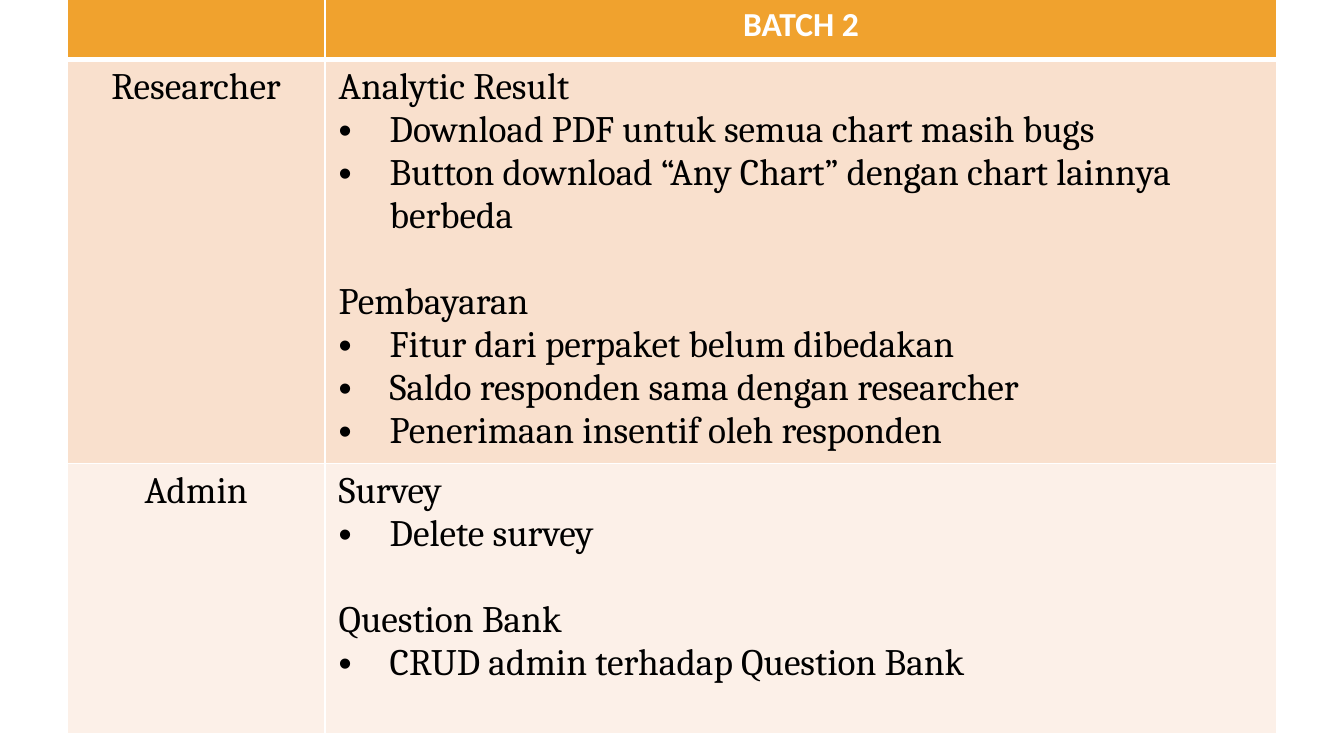
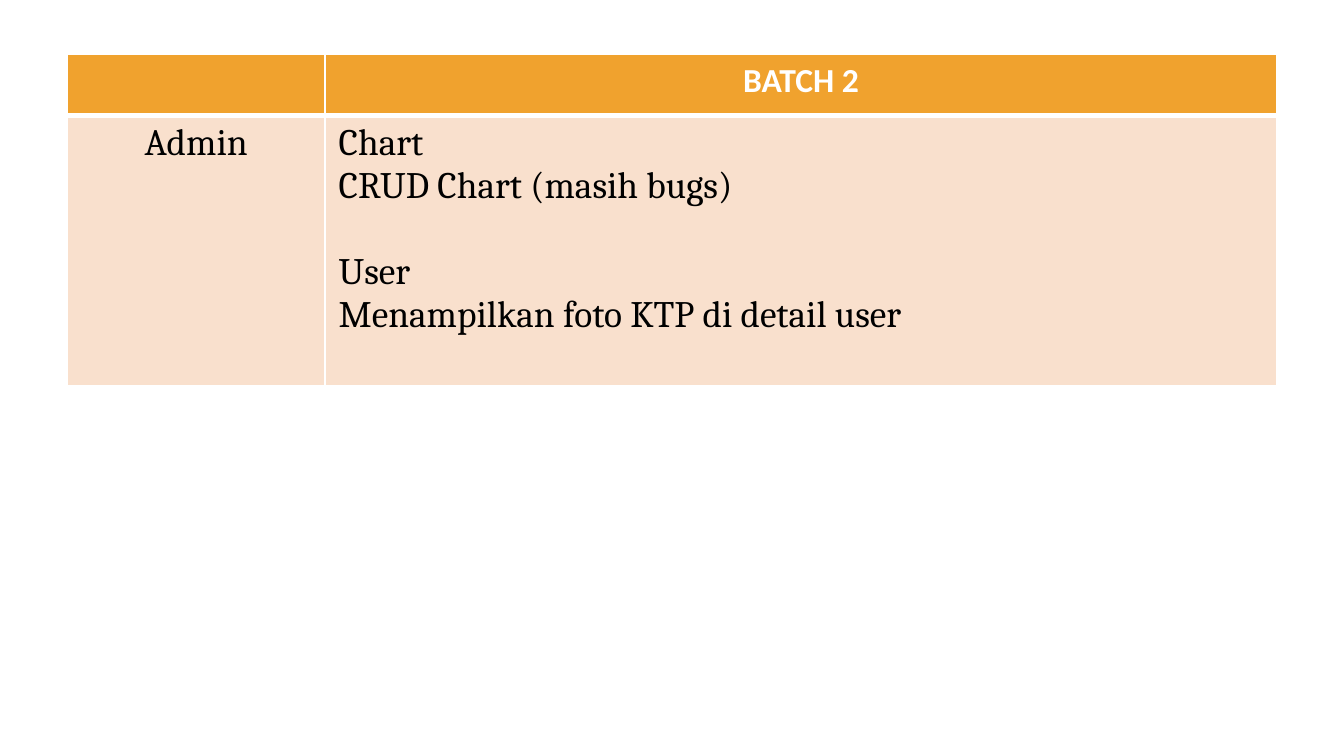
import lxml.etree
import pptx
import pptx.dml.color
import pptx.enum.text
import pptx.oxml.ns
import pptx.util

Inches = pptx.util.Inches
Pt = pptx.util.Pt
qn = pptx.oxml.ns.qn

SLIDE_WIDTH = 10
SLIDE_HEIGHT = SLIDE_WIDTH * 9 / 16
HEADER_FILL = "F0A22E"
BODY_FILLS = ("F9E0CD", "FCF0E8")
WHITE = "FFFFFF"
BLACK = "000000"
COLUMN_WIDTHS = (1.92, 7.08)
HEADER_HEIGHT = 0.46
BULLET_INDENT = 0.38
TOPIC_GAP = 23  # one line of body text, in points


def color(hex_code):
    return pptx.dml.color.RGBColor.from_string(hex_code)


def write(paragraph, text, *, font="Cambria", size=20, ink=BLACK, bold=False,
          centered=False, bullet=False, gap=0):
    """Fill one paragraph with formatted text."""
    align = pptx.enum.text.PP_ALIGN
    paragraph.alignment = align.CENTER if centered else align.LEFT
    paragraph.space_before = Pt(gap)
    if bullet:
        properties = paragraph._p.get_or_add_pPr()
        properties.set("marL", str(Inches(BULLET_INDENT)))
        properties.set("indent", str(-Inches(BULLET_INDENT)))
        lxml.etree.SubElement(properties, qn("a:buFont"), typeface="Arial")
        lxml.etree.SubElement(properties, qn("a:buChar"), char="•")
    run = paragraph.add_run()
    run.text = text
    run.font.name = font
    run.font.size = Pt(size)
    run.font.bold = bold
    run.font.color.rgb = color(ink)


class BatchDeck:
    """Presentation style together with the slide being built."""

    def __init__(self):
        self.deck = pptx.Presentation()
        self.deck.slide_width = Inches(SLIDE_WIDTH)
        self.deck.slide_height = Inches(SLIDE_HEIGHT)
        self.slide = None

    def add_slide(self):
        self.slide = self.deck.slides.add_slide(self.deck.slide_layouts[6])

    def style_cell(self, cell, fill, top=1, bottom=1):
        # Borders precede the fill in the cell properties
        properties = cell._tc.get_or_add_tcPr()
        for side, width in (("L", 1), ("R", 1), ("T", top), ("B", bottom)):
            line = lxml.etree.SubElement(properties, qn(f"a:ln{side}"), w=str(Pt(width)))
            solid = lxml.etree.SubElement(line, qn("a:solidFill"))
            lxml.etree.SubElement(solid, qn("a:srgbClr"), val=WHITE)
        cell.fill.solid()
        cell.fill.fore_color.rgb = color(fill)

    def write_topics(self, frame, topics, bullets):
        lines = []
        for number, (topic, issues) in enumerate(topics):
            lines.append((topic, {"gap": TOPIC_GAP if number else 0}))
            lines += [(issue, {"bullet": bullets}) for issue in issues]
        for number, (text, style) in enumerate(lines):
            paragraph = frame.add_paragraph() if number else frame.paragraphs[0]
            write(paragraph, text, **style)

    def issue_table(self, top, roles, bullets=True):
        """roles: (role, row height, [(topic, issues), ...]) for each body row."""
        heights = [HEADER_HEIGHT] + [height for _, height, _ in roles]
        table = self.slide.shapes.add_table(
            len(heights), len(COLUMN_WIDTHS), Inches(0.5), Inches(top),
            Inches(sum(COLUMN_WIDTHS)), Inches(sum(heights))).table
        table.horz_banding = False
        for column, width in zip(table.columns, COLUMN_WIDTHS):
            column.width = Inches(width)
        for row, height in zip(table.rows, heights):
            row.height = Inches(height)

        # Header row
        for cell in table.rows[0].cells:
            self.style_cell(cell, HEADER_FILL, bottom=3)
        write(table.cell(0, 1).text_frame.paragraphs[0], "BATCH 2",
              font="Calibri", size=18, ink=WHITE, bold=True, centered=True)

        # One row for each role
        for number, (role, _, topics) in enumerate(roles, start=1):
            role_cell, topics_cell = table.rows[number].cells
            for cell in (role_cell, topics_cell):
                self.style_cell(cell, BODY_FILLS[(number - 1) % 2],
                                top=3 if number == 1 else 1)
            write(role_cell.text_frame.paragraphs[0], role, centered=True)
            self.write_topics(topics_cell.text_frame, topics, bullets)


def main():
    batch = BatchDeck()

    # Researcher and admin issues
    batch.add_slide()
    batch.issue_table(-0.02, [
        ("Researcher", 3.01, [
            ("Analytic Result", [
                "Download PDF untuk semua chart masih bugs",
                "Button download “Any Chart” dengan chart lainnya berbeda",
            ]),
            ("Pembayaran", [
                "Fitur dari perpaket belum dibedakan",
                "Saldo responden sama dengan researcher",
                "Penerimaan insentif oleh responden",
            ]),
        ]),
        ("Admin", 2.01, [
            ("Survey", ["Delete survey"]),
            ("Question Bank", ["CRUD admin terhadap Question Bank"]),
        ]),
    ])

    # Remaining admin issues
    batch.add_slide()
    batch.issue_table(0.4, [
        ("Admin", 2.01, [
            ("Chart", ["CRUD Chart (masih bugs)"]),
            ("User", ["Menampilkan foto KTP di detail user"]),
        ]),
    ], bullets=False)

    batch.deck.save("out.pptx")


if __name__ == "__main__":
    main()
